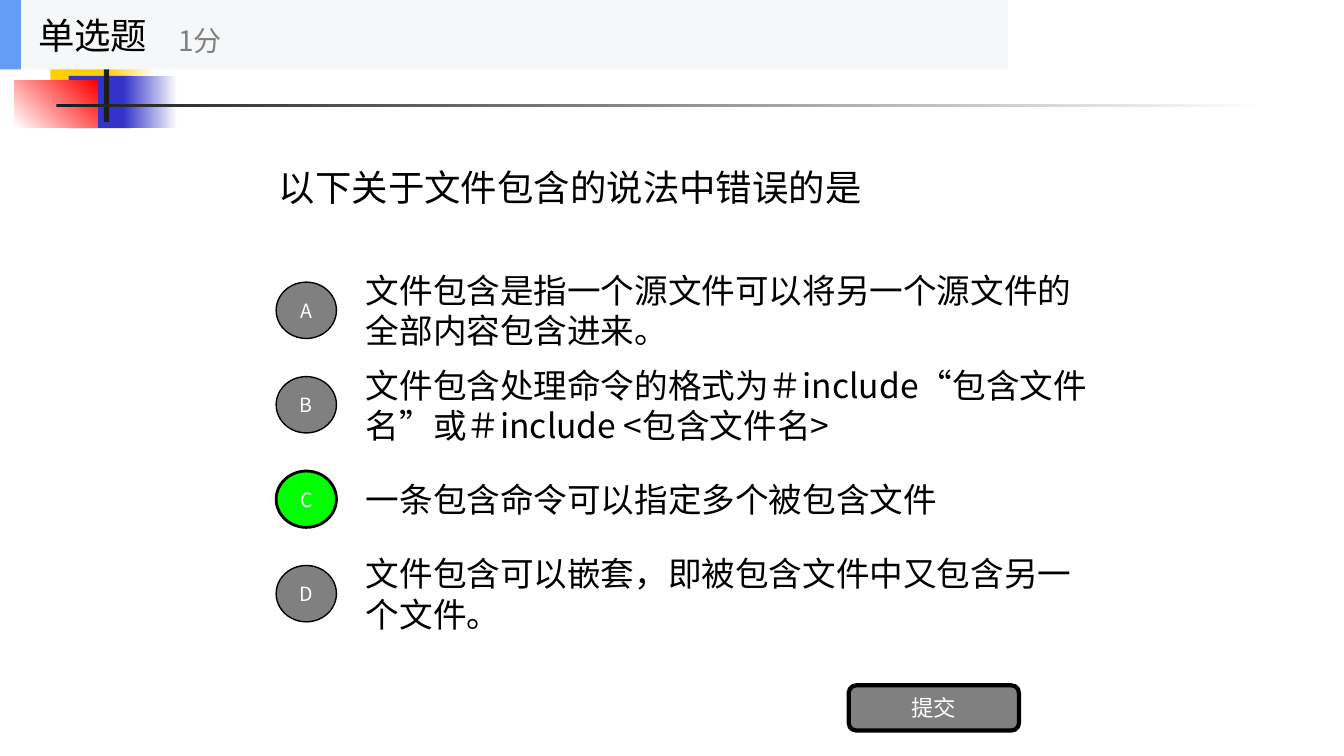
from pptx import Presentation
from pptx import util as u
from pptx.dml import color
from pptx.enum import shapes, text
from pptx.oxml import ns
from lxml import etree

FONT = "Noto Sans CJK SC"
COLORS = {"black": "000000", "white": "FFFFFF", "gray": "808080", "green": "00FF00",
          "yellow": "FFCF01", "blue": "3333CC", "red": "FF0000", "ink": "1C1C1C",
          "header": "F6F7F8", "accent": "639EF4"}

QUESTION = "以下关于文件包含的说法中错误的是"
OPTIONS = [
    ("A", "文件包含是指一个源文件可以将另一个源文件的全部内容包含进来。"),
    ("B", "文件包含处理命令的格式为＃include“包含文件名”或＃include <包含文件名>"),
    ("C", "一条包含命令可以指定多个被包含文件"),
    ("D", "文件包含可以嵌套，即被包含文件中又包含另一个文件。"),
]
CORRECT = "C"
SUBMIT = "提交"
HEADER_TEXTS = [
    ("单选题", (0.71, 0, 5.28, 1.75), {"size": 26}),
    ("1分", (4.24, 0.3, 6.35, 1.42), {"size": 20, "color": "gray"}),
]
HEADER_BARS = [("header", (0, 0, 25.4, 1.75)), ("accent", (0, 0, 0.53, 1.75))]
ORNAMENTS = [
    (("yellow",), 0, (1.27, 0.71, 1.63, 1.32)),
    (("yellow", "white"), 0, (2.69, 0.71, 1.22, 1.32)),
    (("blue",), 0, (1.73, 1.91, 1.57, 1.32)),
    (("blue", "white"), 0, (3.1, 1.91, 1.37, 1.32)),
    (("white", "red"), 45, (0.37, 2.03, 2.08, 1.18)),
    (("ink",), 0, (2.62, 0.15, 0.13, 2.92)),
    (("ink", "white"), 0, (1.42, 2.62, 30.48, 0.08)),
]
OPTION_TOP, OPTION_STEP = 6.93, 2.38
OPTION_HEIGHT, BADGE_HEIGHT = 1.78, 1.42


def rgb(name):
    return color.RGBColor.from_string(COLORS[name])


def write(shape, words, size, color="black", align=text.PP_ALIGN.LEFT, wrap=True):
    frame = shape.text_frame
    for name, value in {"word_wrap": wrap, "vertical_anchor": text.MSO_ANCHOR.MIDDLE}.items():
        setattr(frame, name, value)
    paragraph = frame.paragraphs[0]
    paragraph.alignment = align
    run = paragraph.add_run()
    run.text = words
    for name, value in {"name": FONT, "size": u.Pt(size)}.items():
        setattr(run.font, name, value)
    run.font.color.rgb = rgb(color)
    etree.SubElement(run.font._element, ns.qn("a:ea"), typeface=FONT)


def add_text(parent, words, box, **style):
    write(parent.add_textbox(*map(u.Cm, box)), words, **style)


def add_block(parent, kind, box, fills, angle=0, line=0):
    shape = parent.add_shape(kind, *map(u.Cm, box))
    shape.shadow.inherit = False
    if len(fills) == 1:
        shape.fill.solid()
        shape.fill.fore_color.rgb = rgb(fills[0])
    else:
        shape.fill.gradient()
        shape.fill.gradient_angle = angle
        for stop, name, position in zip(shape.fill.gradient_stops, fills, (0, 1)):
            stop.color.rgb = rgb(name)
            stop.position = position
    if line:
        shape.line.color.rgb = rgb("black")
        shape.line.width = u.Pt(line)
    else:
        shape.line.fill.background()
    return shape


def add_button(parent, kind, words, box, fill, line, size):
    button = add_block(parent, kind, box, (fill,), line=line)
    write(button, words, size, "white", text.PP_ALIGN.CENTER)


presentation = Presentation()
presentation.slide_width, presentation.slide_height = u.Cm(33.87), u.Cm(19.05)
slide = presentation.slides.add_slide(presentation.slide_layouts[6])
KINDS = shapes.MSO_SHAPE

for fills, angle, box in ORNAMENTS:
    add_block(slide.shapes, KINDS.RECTANGLE, box, fills, angle)

add_text(slide.shapes, QUESTION, (6.78, 1.75, 20.32, 5.94), size=26)

for index, (letter, words) in enumerate(OPTIONS):
    top = OPTION_TOP + index * OPTION_STEP
    add_text(slide.shapes, words, (8.97, top, 18.97, OPTION_HEIGHT), size=24)
    badge_top = top + (OPTION_HEIGHT - BADGE_HEIGHT) / 2
    fill, line = ("green", 2) if letter == CORRECT else ("gray", 1)
    add_button(slide.shapes, KINDS.OVAL, letter, (6.96, badge_top, 1.52, BADGE_HEIGHT),
               fill, line, 14)

add_button(slide.shapes, KINDS.ROUNDED_RECTANGLE, SUBMIT, (21.39, 17.27, 4.29, 1.14),
           "gray", 3, 16)

header = slide.shapes.add_group_shape()
for fill, box in HEADER_BARS:
    add_block(header.shapes, KINDS.RECTANGLE, box, (fill,))
for words, box, style in HEADER_TEXTS:
    add_text(header.shapes, words, box, wrap=False, **style)

presentation.save("out.pptx")
